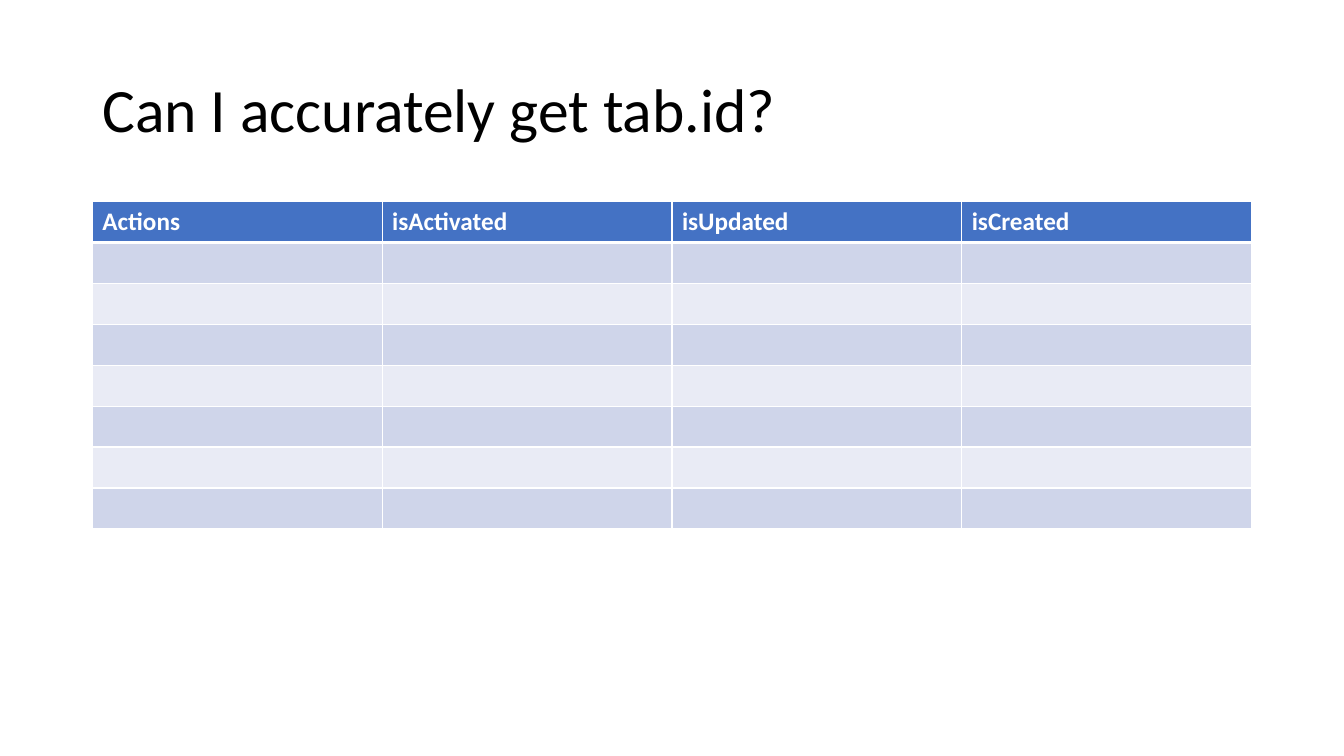
from dataclasses import dataclass

from lxml.etree import SubElement
from pptx import Presentation
from pptx.dml.color import RGBColor
from pptx.enum.text import MSO_ANCHOR
from pptx.oxml.ns import qn
from pptx.slide import Slide
from pptx.table import _Cell
from pptx.util import Emu, Pt

EMU_PER_PX = 9525
FONT = "Calibri"
WHITE = "FFFFFF"
LEFT, WIDTH = 88, 1104
TABLE_TOP, ROW_HEIGHT = 192, 39
HEADINGS = ("Actions", "isActivated", "isUpdated", "isCreated")
BODY_ROWS = 7
BAND_FILLS = ("CFD5EA", "E9EBF5")


@dataclass(frozen=True)
class TableRow:
    texts: tuple[str, ...]
    fill: str
    top_border: int = 1
    bottom_border: int = 1


def px(length: int) -> Emu:
    return Emu(length * EMU_PER_PX)


def color(value: str) -> RGBColor:
    return RGBColor.from_string(value)


def add_title(page: Slide, text: str) -> None:
    box = page.shapes.add_textbox(px(LEFT), px(38), px(WIDTH), px(139))
    frame = box.text_frame
    frame.word_wrap = True
    frame.vertical_anchor = MSO_ANCHOR.MIDDLE
    para = frame.paragraphs[0]
    para.text = text
    para.line_spacing = 0.9
    para.font.name = FONT
    para.font.size = Pt(44)
    para.font.color.rgb = color("000000")


def set_borders(cell: _Cell, top: int, bottom: int) -> None:
    properties = cell._tc.get_or_add_tcPr()
    for side, width in (("L", 1), ("R", 1), ("T", top), ("B", bottom)):
        line = SubElement(properties, qn(f"a:ln{side}"), w=str(Pt(width)))
        fill = SubElement(line, qn("a:solidFill"))
        SubElement(fill, qn("a:srgbClr"), val=WHITE)


def fill_cell(cell: _Cell, text: str, row: TableRow) -> None:
    set_borders(cell, row.top_border, row.bottom_border)
    cell.fill.solid()
    cell.fill.fore_color.rgb = color(row.fill)
    para = cell.text_frame.paragraphs[0]
    para.font.name = FONT
    para.font.size = Pt(18)
    if text:
        para.text = text
        para.font.bold = True
        para.font.color.rgb = color(WHITE)


def add_actions_table(page: Slide, rows: list[TableRow]) -> None:
    table = page.shapes.add_table(
        len(rows), len(HEADINGS),
        px(LEFT), px(TABLE_TOP), px(WIDTH), px(ROW_HEIGHT * len(rows)),
    ).table
    for row_index, row in enumerate(rows):
        for column_index, text in enumerate(row.texts):
            fill_cell(table.cell(row_index, column_index), text, row)


def main() -> None:
    deck = Presentation()
    deck.slide_width, deck.slide_height = px(1280), px(720)
    page = deck.slides.add_slide(deck.slide_layouts[6])
    add_title(page, "Can I accurately get tab.id?")
    rows = [TableRow(HEADINGS, "4472C4", bottom_border=3)]
    for index in range(BODY_ROWS):
        rows.append(TableRow(
            ("",) * len(HEADINGS),
            BAND_FILLS[index % 2],
            top_border=3 if index == 0 else 1,
        ))
    add_actions_table(page, rows)
    deck.save("out.pptx")


if __name__ == "__main__":
    main()
